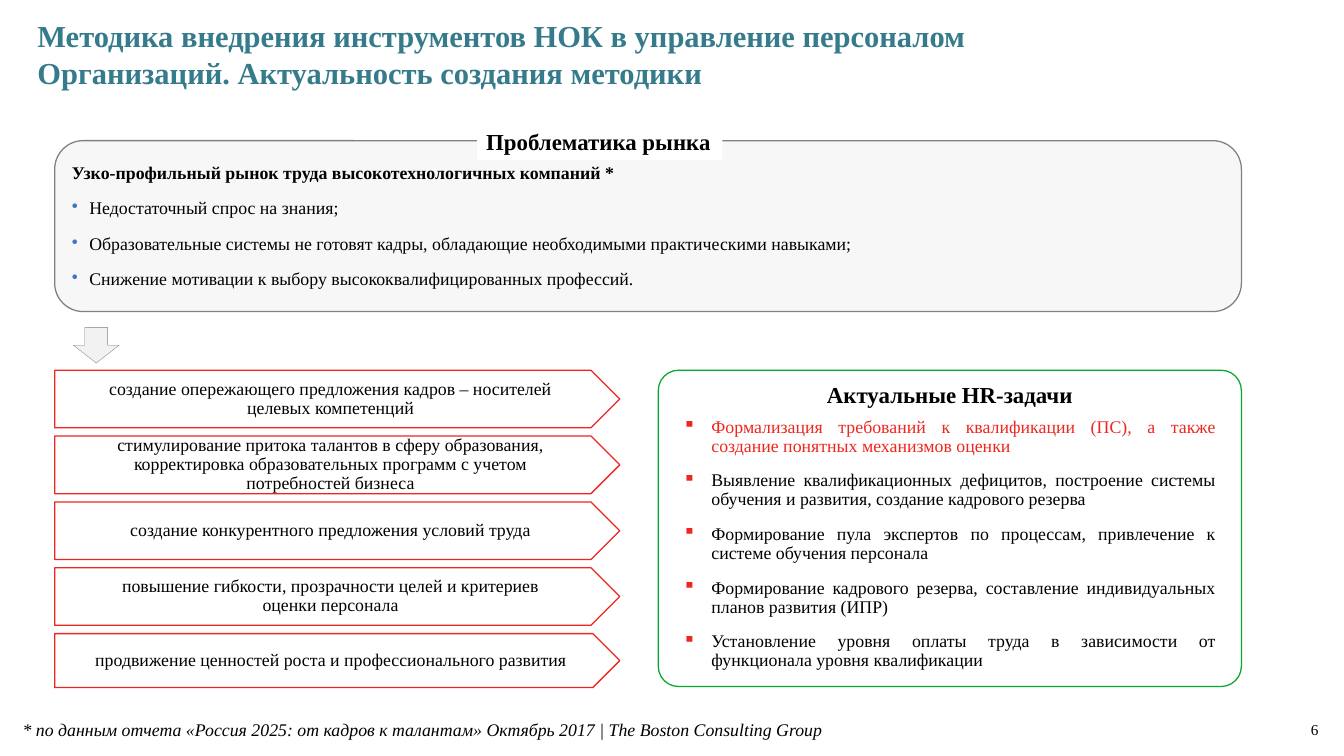
from lxml.etree import SubElement
from pptx import Presentation
from pptx.dml.color import RGBColor
from pptx.enum.shapes import MSO_SHAPE
from pptx.enum.text import MSO_ANCHOR, PP_ALIGN
from pptx.oxml.ns import qn
from pptx.util import Cm, Pt

# Content
TITLE = [
    "Методика внедрения инструментов НОК в управление персоналом",
    "Организаций. Актуальность создания методики",
]
PROBLEM_HEADING = "Проблематика рынка"
PROBLEM_LEAD = "Узко-профильный рынок труда высокотехнологичных компаний *"
PROBLEMS = [
    "Недостаточный спрос на знания;",
    "Образовательные системы не готовят кадры, обладающие необходимыми практическими навыками;",
    "Снижение мотивации к выбору высококвалифицированных профессий.",
]
MEASURES = [
    "создание опережающего предложения кадров – носителей целевых компетенций",
    "стимулирование притока талантов в сферу образования, корректировка "
    "образовательных программ с учетом потребностей бизнеса",
    "создание конкурентного предложения условий труда",
    "повышение гибкости, прозрачности целей и критериев оценки персонала",
    "продвижение ценностей роста и профессионального развития",
]
TASKS_HEADING = "Актуальные HR-задачи"
TASKS = [
    "Формализация требований к квалификации (ПС), а также создание понятных механизмов оценки",
    "Выявление квалификационных дефицитов, построение системы обучения и развития, "
    "создание кадрового резерва",
    "Формирование пула экспертов по процессам, привлечение к системе обучения персонала",
    "Формирование кадрового резерва, составление индивидуальных планов развития (ИПР)",
    "Установление уровня оплаты труда в зависимости от функционала уровня квалификации",
]
FOOTNOTE = (
    "* по данным отчета «Россия 2025: от кадров к талантам» Октябрь 2017 "
    "| The Boston Consulting Group"
)
PAGE_NUMBER = "6"

# Style
FONT = "Times New Roman"
TEAL = RGBColor(0x35, 0x7B, 0x8B)
BLACK = RGBColor(0x00, 0x00, 0x00)
WHITE = RGBColor(0xFF, 0xFF, 0xFF)
RED = RGBColor(0xED, 0x27, 0x20)
GREEN = RGBColor(0x08, 0xA8, 0x2E)
BLUE = RGBColor(0x44, 0x72, 0xC4)
GRAY = RGBColor(0x80, 0x80, 0x80)
LIGHT = RGBColor(0xF2, 0xF2, 0xF2)

BODY = {"size": Pt(14)}
HEADING = {"size": Pt(18), "bold": True}
DEFAULT_INSETS = (0.25, 0.13, 0.25, 0.13)

# Layout in centimetres
LEFT, RIGHT = 1.52, 34.49
MEASURES_TOP, MEASURE_PITCH, MEASURE_WIDTH = 10.29, 1.83, 15.7
MEASURE_HEIGHT, LAST_MEASURE_HEIGHT = 1.6, 1.5
TASKS_LEFT, TASKS_HEIGHT = 18.29, 8.79

presentation = Presentation()
presentation.slide_width, presentation.slide_height = Cm(37.34), Cm(21.01)
slide = presentation.slides.add_slide(presentation.slide_layouts[6])


def set_frame(shape, insets=DEFAULT_INSETS, anchor=MSO_ANCHOR.TOP, wrap=True):
    frame = shape.text_frame
    left, top, right, bottom = (Cm(inset) for inset in insets)
    values = {
        "margin_left": left, "margin_top": top, "margin_right": right,
        "margin_bottom": bottom, "vertical_anchor": anchor, "word_wrap": wrap,
    }
    for name, value in values.items():
        setattr(frame, name, value)


def add_shape(kind, box, fill=None, line=None, width=1, radius=None):
    shape = slide.shapes.add_shape(kind, *(Cm(length) for length in box))
    shape.shadow.inherit = False
    if fill is None:
        shape.fill.background()
    else:
        shape.fill.solid()
        shape.fill.fore_color.rgb = fill
    if line is None:
        shape.line.fill.background()
    else:
        shape.line.color.rgb = line
        shape.line.width = Pt(width)
    if radius is not None:
        shape.adjustments[0] = radius
    return shape


def add_text_box(box, **frame_format):
    shape = slide.shapes.add_textbox(*(Cm(length) for length in box))
    set_frame(shape, **frame_format)
    return shape


def write(shape, text, font, color=BLACK, bullet=None, **paragraph_format):
    """Fill the first empty paragraph or append one; bullet is (sign, color, indent)."""
    frame = shape.text_frame
    paragraph = frame.paragraphs[0] if not frame.text else frame.add_paragraph()
    if bullet:
        sign, sign_color, indent = bullet
        properties = paragraph._p.get_or_add_pPr()
        properties.set("marL", str(Cm(indent)))
        properties.set("indent", str(-Cm(indent)))
        color_element = SubElement(properties, qn("a:buClr"))
        SubElement(color_element, qn("a:srgbClr")).set("val", str(sign_color))
        SubElement(properties, qn("a:buChar")).set("char", sign)
    for name, value in ({"alignment": PP_ALIGN.LEFT} | paragraph_format).items():
        setattr(paragraph, name, value)
    run = paragraph.add_run()
    run.text = text
    for name, value in ({"name": FONT} | font).items():
        setattr(run.font, name, value)
    run.font.color.rgb = color


# Title, page number and footnote
title = add_text_box((1.04, 0.48, 31.24, 1.07), insets=(0, 0, 0, 0))
for line in TITLE:
    write(title, line, {"size": Pt(24), "bold": True}, TEAL)
page_number = add_text_box((35.61, 19.56, 1.27, 1.4), anchor=MSO_ANCHOR.MIDDLE)
write(page_number, PAGE_NUMBER, {"size": Pt(12)}, alignment=PP_ALIGN.RIGHT)
footnote = add_text_box((0.38, 19.84, 29.79, 0.86))
write(footnote, FOOTNOTE, BODY | {"italic": True})

# Measures
for index, measure in enumerate(MEASURES):
    is_last = index == len(MEASURES) - 1
    height = LAST_MEASURE_HEIGHT if is_last else MEASURE_HEIGHT
    top = MEASURES_TOP + index * MEASURE_PITCH
    pentagon = add_shape(
        MSO_SHAPE.PENTAGON, (LEFT, top, MEASURE_WIDTH, height), WHITE, RED)
    set_frame(pentagon, (1.07, 0.03, 1.04, 0.03), MSO_ANCHOR.MIDDLE)
    write(pentagon, measure, BODY, alignment=PP_ALIGN.CENTER, line_spacing=0.9)

# Market problems, on a translucent panel
problem_panel = add_shape(
    MSO_SHAPE.ROUNDED_RECTANGLE, (LEFT, 3.91, RIGHT - LEFT, 4.75), LIGHT, GRAY)
panel_color = problem_panel.fill._xPr.find(qn("a:solidFill"))[0]
SubElement(panel_color, qn("a:alpha")).set("val", "54000")
set_frame(problem_panel, anchor=MSO_ANCHOR.MIDDLE)
justified = {"alignment": PP_ALIGN.JUSTIFY, "space_after": Pt(12)}
write(problem_panel, PROBLEM_LEAD, BODY | {"bold": True}, **justified)
for problem in PROBLEMS:
    write(problem_panel, problem, BODY, bullet=("•", BLUE, 0.48),
          line_spacing=0.95, **justified)

# HR tasks, the first one highlighted
tasks_panel = add_shape(
    MSO_SHAPE.ROUNDED_RECTANGLE,
    (TASKS_LEFT, MEASURES_TOP, RIGHT - TASKS_LEFT, TASKS_HEIGHT),
    WHITE, GREEN, radius=0.064)
set_frame(tasks_panel)
write(tasks_panel, TASKS_HEADING, HEADING, alignment=PP_ALIGN.CENTER)
task_list = add_shape(
    MSO_SHAPE.ROUNDED_RECTANGLE, (18.47, 11.43, 15.82, 7.39), radius=0.118)
set_frame(task_list, anchor=MSO_ANCHOR.MIDDLE)
for index, task in enumerate(TASKS):
    write(task_list, task, BODY, RED if index == 0 else BLACK,
          bullet=("▪", RED, 0.79), line_spacing=0.9, **justified)

# Heading over the panel border and the arrow to the measures
problem_heading = add_shape(MSO_SHAPE.RECTANGLE, (13.26, 3.43, 6.81, 1.02), WHITE)
set_frame(problem_heading, wrap=False)
write(problem_heading, PROBLEM_HEADING, HEADING)
add_shape(MSO_SHAPE.DOWN_ARROW, (2.04, 9.1, 1.27, 0.99), LIGHT, GRAY, width=0.25)

presentation.save("out.pptx")
